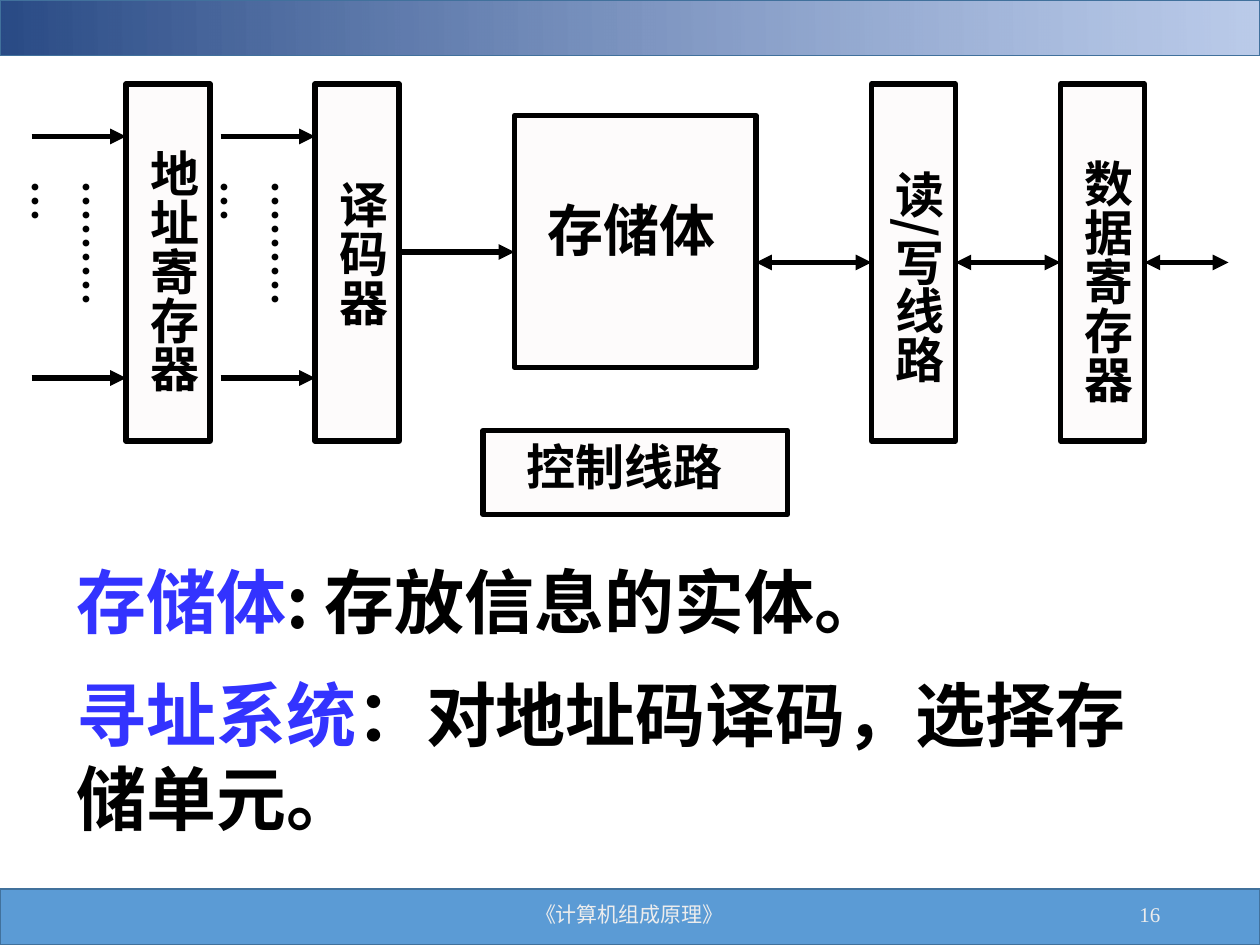
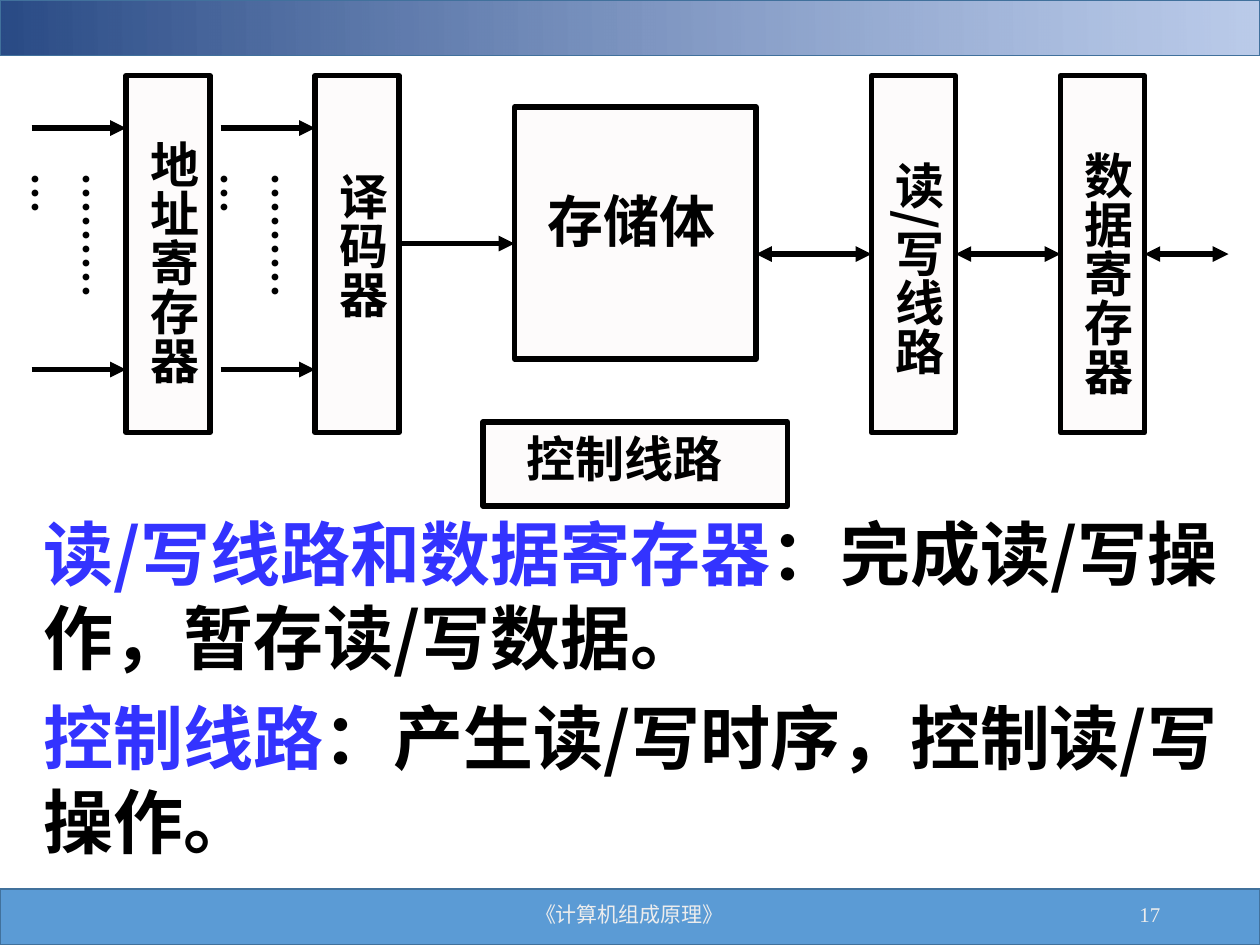
from dataclasses import dataclass

from lxml.etree import SubElement as Sub
from pptx import Presentation
from pptx.dml.color import RGBColor
from pptx.enum.shapes import MSO_CONNECTOR as Wire, MSO_SHAPE as Form
from pptx.enum.text import MSO_ANCHOR as Anchor, MSO_AUTO_SIZE as Auto, PP_ALIGN as Align
from pptx.oxml.ns import qn
from pptx.util import Inches, Pt

COLS, ROWS = 120, 90
WIDE, HIGH = Inches(10), Inches(7.5)
BLACK, BLUE, PALE, WHITE = "000000", "3333FF", "FDFBFB", "EDEDED"
BAND, EDGE, DARK, LIGHT = "5B9BD5", "41719C", "2A4B86", "8FAADC"
SANS, SERIF = "Noto Sans CJK SC", "Times New Roman"


@dataclass(frozen=True)
class Area:
    """A block of grid cells."""
    col: float
    row: float
    cols: float
    rows: float

    def place(self, lift: float = 0) -> tuple[int, int, int, int]:
        return (across(self.col), down(self.row - lift),
                across(self.cols), down(self.rows))


@dataclass(frozen=True)
class Label:
    text: str
    area: Area
    size: float = 28
    tall: bool = True


@dataclass(frozen=True)
class Arrow:
    """A level arrow; start and stop name the boxes it is joined to."""
    left: float
    right: float
    row: float
    both: bool = False
    start: str = ""
    stop: str = ""


@dataclass(frozen=True)
class Note:
    term: str
    text: str
    area: Area


@dataclass(frozen=True)
class Page:
    number: int
    lift: float
    notes: tuple[Note, ...]


def tower(col: float) -> Area:
    return Area(col, 8, 8, 34)


BOXES = {
    "store": Area(49, 11, 23, 24),
    "address": tower(12),
    "decode": tower(30),
    "access": tower(83),
    "data": tower(101),
    "control": Area(46, 41, 29, 8),
}
LABELS = [
    Label("存储体", Area(51, 18, 19, 7.7), 32, False),
    Label("地址寄存器", Area(12, 13, 7.9, 28)),
    Label("译码器", Area(30, 16, 7.9, 22)),
    Label("读/写线路", Area(83, 15, 7.9, 29)),
    Label("数据寄存器", Area(101, 14, 7.9, 26)),
    Label("控制线路", Area(49, 41, 27, 6.8), tall=False),
    *(Label("…………", Area(col, 16, 7.2, 18), 24) for col in (4.1, 22.1)),
]
ARROWS = [
    *(Arrow(col, col + 9, row) for col in (3, 21) for row in (13, 36)),
    Arrow(38, 49, 24),
    Arrow(72, 83, 25, True, stop="access"),
    Arrow(91, 101, 25, True, "access", "data"),
    Arrow(109, 117, 25, True, "data"),
]
PAGES = [
    Page(16, 0, (
        Note("存储体", ": 存放信息的实体。", Area(6.1, 52.6, 101, 9.2)),
        Note("寻址系统", "：对地址码译码，选择存储单元。", Area(6.1, 63.4, 107, 17.3)),
    )),
    Page(17, 0.8, (
        Note("读/写线路和数据寄存器", "：完成读/写操作，暂存读/写数据。", Area(3, 48, 117, 17.3)),
        Note("控制线路", "：产生读/写时序，控制读/写操作。", Area(3, 65.6, 117, 17.3)),
    )),
]


def across(cols: float) -> int:
    return round(WIDE * cols / COLS)


def down(rows: float) -> int:
    return round(HIGH * rows / ROWS)


def tint(code: str) -> RGBColor:
    return RGBColor.from_string(code)


def add_box(shapes, area: Area, fill: str, edge: str, width: float, lift: float = 0):
    box = shapes.add_shape(Form.RECTANGLE, *area.place(lift))
    box.shadow.inherit = False
    box.fill.solid()
    box.fill.fore_color.rgb = tint(fill)
    box.line.color.rgb = tint(edge)
    box.line.width = Pt(width)
    return box


def add_frame(shapes, area: Area, tall: bool = False, lift: float = 0):
    frame = shapes.add_textbox(*area.place(lift)).text_frame
    frame.word_wrap = True
    frame.auto_size = Auto.SHAPE_TO_FIT_TEXT
    if tall:
        frame.margin_left = frame.margin_right = Inches(0.05)
        frame.margin_top = frame.margin_bottom = Inches(0.1)
        frame._txBody.bodyPr.set("vert", "eaVert")
    return frame


def add_run(para, text: str, size: float, color: str = BLACK,
            face: str = SANS, bold: bool = True) -> None:
    run = para.add_run()
    run.text = text
    font = run.font
    font.size, font.bold, font.name = Pt(size), bold, face
    font.color.rgb = tint(color)
    Sub(run._r.get_or_add_rPr(), qn("a:ea"), typeface=SANS)


def add_arrow(shapes, arrow: Arrow, boxes: dict, lift: float) -> None:
    level = down(arrow.row - lift)
    wire = shapes.add_connector(Wire.STRAIGHT, across(arrow.left), level,
                                across(arrow.right), level)
    if arrow.start:
        wire.begin_connect(boxes[arrow.start], 3)
    if arrow.stop:
        wire.end_connect(boxes[arrow.stop], 1)
    wire.line.color.rgb = tint(BLACK)
    wire.line.width = Pt(3)
    line = wire.line._get_or_add_ln()
    for end in ("headEnd", "tailEnd") if arrow.both else ("tailEnd",):
        Sub(line, qn(f"a:{end}"), type="triangle")
    Sub(wire.element.spPr, qn("a:effectLst"))


def add_bands(shapes, master) -> None:
    """Put the top and bottom bands behind everything on the master."""
    foot = add_box(shapes, Area(0, 84.7, COLS, 5.3), BAND, EDGE, 1)
    head = add_box(shapes, Area(0, 0, COLS, 5.3), DARK, EDGE, 1)
    head.fill.gradient()
    head.fill.gradient_angle = 1
    for stop, code in zip(head.fill.gradient_stops, (DARK, LIGHT)):
        stop.color.rgb = tint(code)
    light = head.element.findall(".//" + qn("a:srgbClr"))[1]
    Sub(light, qn("a:alpha"), val="61000")
    for spot, band in enumerate((foot, head)):
        band.element.nvSpPr.cNvPr.set("id", str(20 + spot))
        master.shapes.element.insert(2 + spot, band.element)


def add_scheme(slide, lift: float) -> None:
    """Draw the block diagram of the memory."""
    shapes = slide.shapes.add_group_shape().shapes
    boxes = {name: add_box(shapes, area, PALE, BLACK, 3, lift)
             for name, area in BOXES.items()}
    for label in LABELS:
        frame = add_frame(shapes, label.area, label.tall, lift)
        add_run(frame.paragraphs[0], label.text, label.size)
    for arrow in ARROWS:
        add_arrow(shapes, arrow, boxes, lift)


def add_note(slide, note: Note) -> None:
    para = add_frame(slide.shapes, note.area).paragraphs[0]
    add_run(para, note.term, 40, BLUE)
    add_run(para, note.text, 40)


def add_footer(slide, number: int) -> None:
    for text, col, cols, align in (("《计算机组成原理》", 39.7, 40.5, Align.CENTER),
                                   (str(number), 84.7, 27, Align.RIGHT)):
        frame = add_frame(slide.shapes, Area(col, 84.7, cols, 4.8))
        frame.auto_size = Auto.NONE
        frame.vertical_anchor = Anchor.MIDDLE
        para = frame.paragraphs[0]
        para.alignment = align
        add_run(para, text, 12, WHITE, SERIF, False)


def main() -> None:
    deck = Presentation()
    deck.slide_width, deck.slide_height = WIDE, HIGH
    blank = deck.slide_layouts[6]
    for page in PAGES:
        slide = deck.slides.add_slide(blank)
        if page is PAGES[0]:
            add_bands(slide.shapes, deck.slide_master)
        add_scheme(slide, page.lift)
        for note in page.notes:
            add_note(slide, note)
        add_footer(slide, page.number)
    deck.save("out.pptx")


if __name__ == "__main__":
    main()
